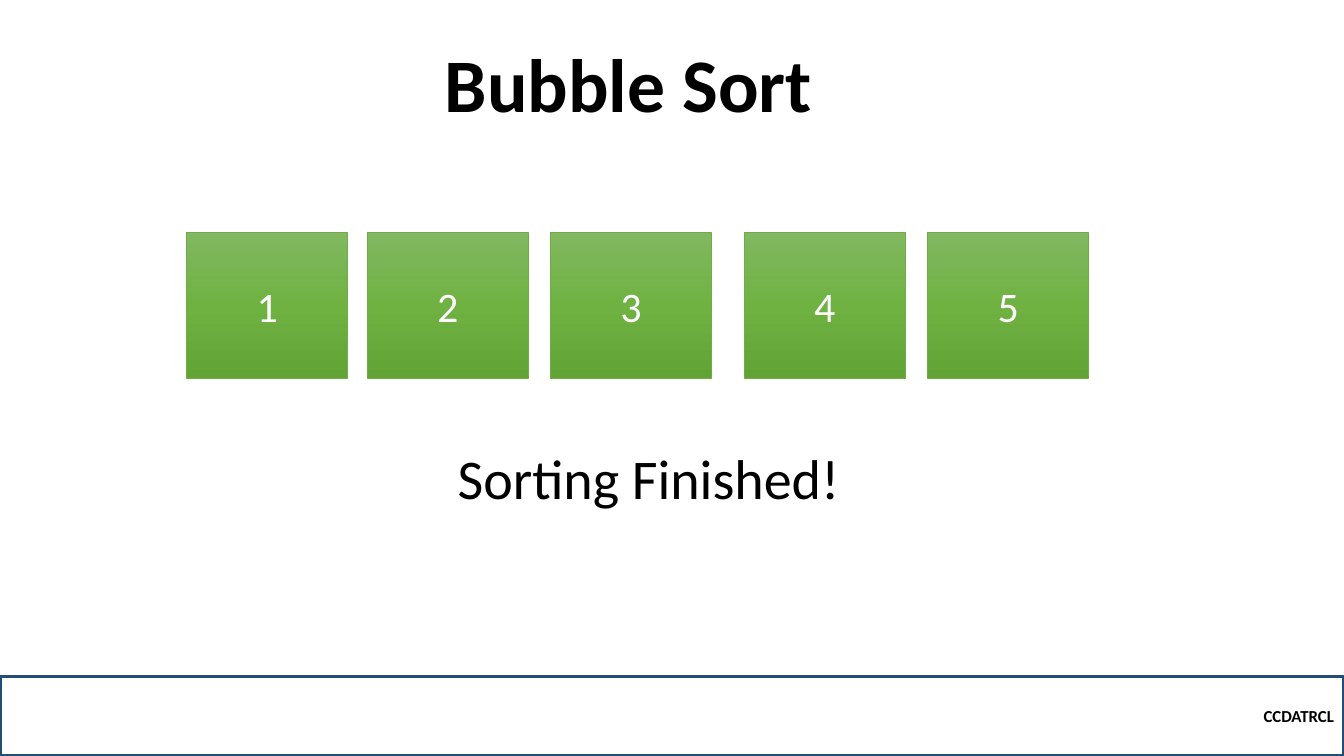
from copy import deepcopy

from pptx import Presentation
from pptx.dml.color import RGBColor
from pptx.enum.shapes import MSO_SHAPE
from pptx.enum.text import MSO_ANCHOR, MSO_AUTO_SIZE, PP_ALIGN
from pptx.oxml.ns import qn
from pptx.util import Inches, Pt

BLACK = RGBColor(0x00, 0x00, 0x00)
WHITE = RGBColor(0xFF, 0xFF, 0xFF)
NAVY = RGBColor(0x1F, 0x4E, 0x79)
GREEN = RGBColor(0x70, 0xAD, 0x47)
GREEN_STOPS = [
    (0, RGBColor(0x81, 0xB8, 0x61)),
    (0.5, RGBColor(0x6F, 0xB2, 0x42)),
    (1, RGBColor(0x62, 0xA3, 0x36)),
]


class SlideBuilder:
    font = "Calibri"

    def __init__(self, prs):
        self.s = prs.slides.add_slide(prs.slide_layouts[5])

    def set_text(self, tf, text, size, color, align, anchor, bold=False):
        tf.word_wrap = True
        tf.vertical_anchor = anchor
        p = tf.paragraphs[0]
        p.text = text
        p.alignment = align
        p.font.name = self.font
        p.font.size = Pt(size)
        p.font.bold = bold
        p.font.color.rgb = color
        return p

    def title(self, text, x, y, w, h):
        sp = self.s.shapes.title
        sp.left, sp.top, sp.width, sp.height = map(Inches, (x, y, w, h))
        tf = sp.text_frame
        tf.auto_size = MSO_AUTO_SIZE.NONE
        p = self.set_text(tf, text, 54, BLACK, PP_ALIGN.CENTER,
                          MSO_ANCHOR.BOTTOM, bold=True)
        p.line_spacing = 0.9

    def box(self, x, y, w, h, line, line_width):
        sp = self.s.shapes.add_shape(MSO_SHAPE.RECTANGLE,
                                     *map(Inches, (x, y, w, h)))
        sp.shadow.inherit = False
        sp.line.color.rgb = line
        sp.line.width = Pt(line_width)
        return sp

    def footer(self, text, x, y, w, h):
        sp = self.box(x, y, w, h, NAVY, 2.25)
        sp.fill.background()
        self.set_text(sp.text_frame, text, 12, BLACK, PP_ALIGN.RIGHT,
                      MSO_ANCHOR.MIDDLE, bold=True)

    def cell(self, value, x, y, w, h):
        sp = self.box(x, y, w, h, GREEN, 0.5)
        fill = sp.fill
        fill.gradient()
        fill.gradient_angle = 270
        # A new gradient has two stops; add the third
        stops = sp._element.spPr.find(qn("a:gradFill")).find(qn("a:gsLst"))
        stops.append(deepcopy(stops[0]))
        for stop, (position, color) in zip(fill.gradient_stops, GREEN_STOPS):
            stop.position = position
            stop.color.rgb = color
        self.set_text(sp.text_frame, str(value), 30, WHITE, PP_ALIGN.CENTER,
                      MSO_ANCHOR.MIDDLE)

    def caption(self, text, x, y, w, h):
        tf = self.s.shapes.add_textbox(*map(Inches, (x, y, w, h))).text_frame
        self.set_text(tf, text, 40, BLACK, PP_ALIGN.LEFT, MSO_ANCHOR.TOP)
        tf.auto_size = MSO_AUTO_SIZE.SHAPE_TO_FIT_TEXT


def main():
    prs = Presentation()
    prs.slide_width, prs.slide_height = Inches(13.33), Inches(7.5)
    slide = SlideBuilder(prs)

    # Title and footer bar
    slide.title("Bubble Sort", 0.8, 0.54, 10.87, 0.79)
    slide.footer("CCDATRCL", 0, 6.71, 13.33, 0.79)

    # Sorted array, unevenly spaced
    for value, x in enumerate((1.85, 3.64, 5.46, 7.38, 9.2), start=1):
        slide.cell(value, x, 2.31, 1.6, 1.44)

    # Result
    slide.caption("Sorting Finished!", 4.44, 4.35, 4.02, 0.77)

    prs.save("out.pptx")


if __name__ == "__main__":
    main()
